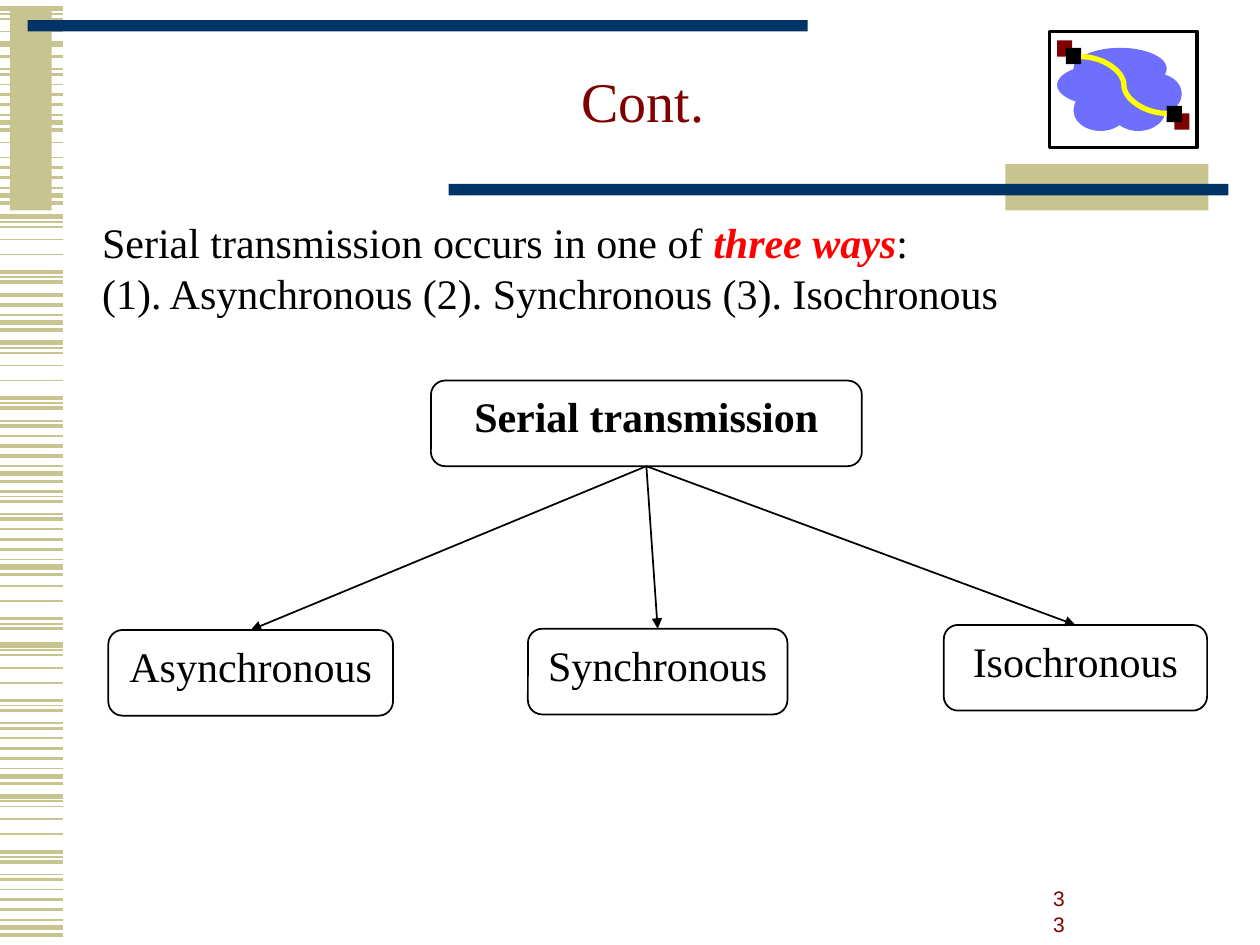
from lxml import etree
from pptx import Presentation
from pptx.dml.color import RGBColor
from pptx.enum.shapes import MSO_CONNECTOR, MSO_SHAPE
from pptx.enum.text import MSO_ANCHOR, MSO_AUTO_SIZE, PP_ALIGN
from pptx.oxml.ns import qn
from pptx.util import Inches, Pt

RECT, OVAL, ROUND = MSO_SHAPE.RECTANGLE, MSO_SHAPE.OVAL, MSO_SHAPE.ROUNDED_RECTANGLE
STRAIGHT = MSO_CONNECTOR.STRAIGHT
TOP, MIDDLE, BOTTOM = MSO_ANCHOR.TOP, MSO_ANCHOR.MIDDLE, MSO_ANCHOR.BOTTOM
LEFT, CENTER = PP_ALIGN.LEFT, PP_ALIGN.CENTER
FIXED = MSO_AUTO_SIZE.NONE
SERIF, SANS = "Times New Roman", "Arial"
SAND, NAVY, MAROON, CLOUD = "C7C48F", "003366", "800000", "6F6FFF"
BLACK, WHITE, RED, YELLOW = "000000", "FFFFFF", "FF0000", "FFFF00"

# Distance above the foot of a stripe band, and line width in points
MOTIF = [(0, 2), (0.06, 3), (0.12, 1), (0.2, 2), (0.28, 2), (0.36, 1),
         (0.44, 2), (0.48, 1), (0.58, 2), (0.62, 1), (0.66, 2), (0.8, 1),
         (0.92, 1), (1.02, 1), (1.06, 1), (1.1, 3)]
# Foot of each band, and the part of the motif that it shows
BANDS = [(7.42, 0, 16), (6.22, 0, 16), (5.57, 8, 13), (4.56, 0, 11),
         (3.82, 0, 16), (2.62, 0, 5), (2.82, 8, 16), (1.61, 0, 5),
         (2.05, 11, 13), (1.03, 0, 9), (0.41, 1, 2), (1.17, 12, 16)]


def color(code):
    return RGBColor.from_string(code)


def place(shape, box):
    shape.left, shape.top, shape.width, shape.height = map(Inches, box)


def ink(shape, code, width):
    shape.line.color.rgb = color(code)
    shape.line.width = Pt(width)


def block(shapes, kind, box, fill, line=None, width=1):
    shape = shapes.add_shape(kind, *map(Inches, box))
    shape.shadow.inherit = False
    shape.fill.solid()
    shape.fill.fore_color.rgb = color(fill)
    if line:
        ink(shape, line, width)
    else:
        shape.line.fill.background()
    return shape


def wire(shapes, start, end, code, width):
    line = shapes.add_connector(STRAIGHT, *map(Inches, start + end))
    ink(line, code, width)
    etree.SubElement(line._element.spPr, qn("a:effectLst"))
    return line


def style(run, size, code=BLACK, face=SERIF, bold=False, slant=False):
    font = run.font
    font.name, font.size, font.bold, font.italic = face, Pt(size), bold, slant
    font.color.rgb = color(code)


def setup(frame, anchor, align):
    """Set wrapping, anchor and alignment of a one-paragraph frame."""
    frame.word_wrap = True
    frame.auto_size = FIXED
    frame.vertical_anchor = anchor
    para = frame.paragraphs[0]
    para.alignment = align
    para.space_before = Pt(0)
    return para


def stripes(slide):
    shapes = slide.shapes.add_group_shape().shapes
    for foot, first, last in BANDS:
        for rise, width in MOTIF[first:last]:
            y = foot - rise
            wire(shapes, (0, y), (0.5, y), SAND, width)


def bars(slide):
    for box, fill in [((0.08, 0.08, 0.33, 1.59), SAND),
                      ((0.22, 0.16, 6.19, 0.09), NAVY),
                      ((7.98, 1.3, 1.61, 0.37), SAND),
                      ((3.56, 1.46, 6.19, 0.09), NAVY)]:
        block(slide.shapes, RECT, box, fill)


def curve(shapes, start, end, steps=16):
    """Draw an S curve, level at both ends and steep in the middle."""
    (x0, y0), (x1, y1) = start, end
    wide, high = (x1 - x0) / 2, (y1 - y0) / 2
    half = []
    for i in range(steps + 1):
        t = i / steps
        s = 1 - t
        half.append((1.5 * t * s * s + 3 * t * t * s + t ** 3,
                     1.5 * t * t * s + t ** 3))
    points = [(x0 + wide * u, y0 + high * v) for u, v in half]
    points += [(x1 - wide * u, y1 - high * v) for u, v in half[-2::-1]]
    points = [(Inches(x), Inches(y)) for x, y in points]
    pen = shapes.build_freeform(*points[0])
    pen.add_line_segments(points[1:], close=False)
    shape = pen.convert_to_shape()
    shape.shadow.inherit = False
    shape.fill.background()
    ink(shape, YELLOW, 3)


def emblem(slide):
    shapes = slide.shapes.add_group_shape().shapes
    block(shapes, RECT, (8.33, 0.25, 1.17, 0.92), WHITE, BLACK, 2)
    size = (0.12, 0.13)
    block(shapes, RECT, (9.32, 0.9) + size, MAROON)
    for x, y, wide in [(8.39, 0.51, 0.74), (8.52, 0.38, 0.74), (8.52, 0.71, 0.43),
                       (8.82, 0.71, 0.43), (8.82, 0.58, 0.43), (8.95, 0.58, 0.43)]:
        block(shapes, OVAL, (x, y, wide, 0.33), CLOUD)
    for spot, fill in [((8.39, 0.32), MAROON), ((8.46, 0.38), BLACK),
                       ((9.26, 0.84), BLACK)]:
        block(shapes, RECT, spot + size, fill)
    curve(shapes, (8.58, 0.45), (9.26, 0.9))


def title(slide):
    shape = slide.shapes.title
    place(shape, (0.5, 0, 9.25, 1.67))
    frame = shape.text_frame
    frame.text = "Cont."
    frame.margin_left, frame.margin_right = Inches(0.1), Inches(0.14)
    para = setup(frame, MIDDLE, CENTER)
    para.line_spacing = 0.85
    style(para.runs[0], 32, MAROON)


def body(slide):
    shape = slide.placeholders[1]
    place(shape, (0.67, 1.67, 9.17, 0.91))
    para = setup(shape.text_frame, TOP, LEFT)
    para.text = "Serial transmission occurs in one of "
    style(para.runs[0], 24)
    key = para.add_run()
    key.text = "three ways"
    style(key, 24, RED, bold=True, slant=True)
    colon = para.add_run()
    colon.text = ":"
    style(colon, 24)
    para.add_line_break()
    ways = para.add_run()
    ways.text = "(1). Asynchronous (2). Synchronous (3). Isochronous"
    style(ways, 24)
    props = para._p.get_or_add_pPr()
    props.set("marL", str(Inches(0.04)))
    props.set("indent", "0")
    etree.SubElement(props, qn("a:buNone"))


def node(slide, text, x, y, wide, bold=False):
    shape = block(slide.shapes, ROUND, (x, y, wide, 0.68), WHITE, BLACK)
    shape.text_frame.text = text
    para = setup(shape.text_frame, TOP, CENTER)
    style(para.runs[0], 24, bold=bold)
    return shape


def arrow(slide, root, leaf):
    line = wire(slide.shapes, (0, 0), (1, 1), BLACK, 1)
    line.begin_connect(root, 2)
    line.end_connect(leaf, 0)
    etree.SubElement(line.line._get_or_add_ln(), qn("a:tailEnd"), type="triangle")


def tree(slide):
    root = node(slide, "Serial transmission", 3.42, 3.02, 3.42, bold=True)
    leaves = [node(slide, *row) for row in [("Asynchronous", 0.86, 5, 2.26),
                                            ("Synchronous", 4.19, 4.99, 2.06),
                                            ("Isochronous", 7.49, 4.96, 2.09)]]
    for leaf in leaves:
        arrow(slide, root, leaf)


def number(slide):
    shape = slide.shapes.add_textbox(*map(Inches, (8.25, 7.17, 0.31, 0.31)))
    shape.text_frame.text = "33"
    para = setup(shape.text_frame, BOTTOM, CENTER)
    style(para.runs[0], 12, MAROON, SANS)


def main():
    deck = Presentation()
    deck.slide_width, deck.slide_height = Inches(10), Inches(7.5)
    slide = deck.slides.add_slide(deck.slide_layouts[1])
    for draw in (number, stripes, bars, emblem, title, body, tree):
        draw(slide)
    deck.save("out.pptx")


if __name__ == "__main__":
    main()
